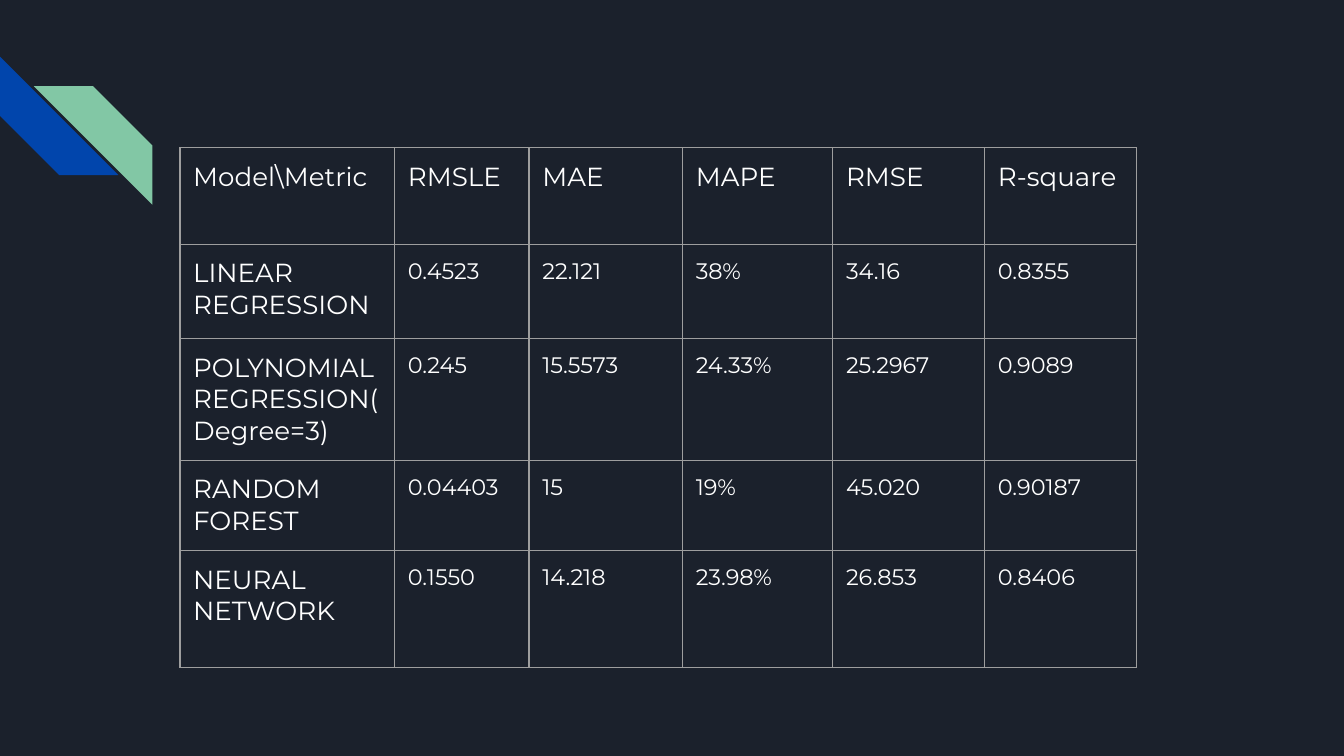
from lxml.etree import SubElement
from pptx import Presentation
from pptx.dml.color import RGBColor
from pptx.enum.shapes import MSO_SHAPE
from pptx.oxml.ns import qn
from pptx.util import Cm, Pt

NAVY = RGBColor(0x1B, 0x21, 0x2C)
BLUE = RGBColor(0x01, 0x45, 0xAC)
GREEN = RGBColor(0x82, 0xC7, 0xA5)
GREY = RGBColor(0x9E, 0x9E, 0x9E)
WHITE = RGBColor(0xFF, 0xFF, 0xFF)

FONT = "Montserrat"
INSET = Cm(0.25)
STRIPE_SIZE = Cm(2.24)

COLUMN_WIDTHS = [4.06, 2.54, 2.9, 2.84, 2.87, 2.87]
ROW_HEIGHTS = [1.83, 1.78, 1.68, 1.68, 2.21]
RESULTS = [
    ["Model\\Metric", "RMSLE", "MAE", "MAPE", "RMSE", "R-square"],
    ["LINEAR REGRESSION", "0.4523", "22.121", "38%", "34.16", "0.8355"],
    ["POLYNOMIAL REGRESSION(Degree=3)", "0.245", "15.5573", "24.33%", "25.2967", "0.9089"],
    ["RANDOM FOREST", "0.04403", "15", "19%", "45.020", "0.90187"],
    ["NEURAL NETWORK", "0.1550", "14.218", "23.98%", "26.853", "0.8406"],
]


def add_stripe(slide, left, top, color, rotation=0, mirrored=False):
    stripe = slide.shapes.add_shape(
        MSO_SHAPE.DIAGONAL_STRIPE, left, top, STRIPE_SIZE, STRIPE_SIZE)
    stripe.adjustments[0] = 0.5
    stripe.rotation = rotation
    stripe.shadow.inherit = False
    stripe.fill.solid()
    stripe.fill.fore_color.rgb = color
    stripe.line.fill.background()
    if mirrored:
        stripe._element.spPr.find(qn("a:xfrm")).set("flipH", "1")


def add_borders(cell):
    properties = cell._tc.get_or_add_tcPr()
    for side in ("a:lnL", "a:lnR", "a:lnT", "a:lnB"):
        border = SubElement(properties, qn(side), w=str(Pt(0.75)))
        fill = SubElement(border, qn("a:solidFill"))
        SubElement(fill, qn("a:srgbClr"), val=str(GREY))


def fill_cell(cell, text, size):
    cell.margin_left = cell.margin_right = INSET
    cell.margin_top = cell.margin_bottom = INSET
    add_borders(cell)
    cell.fill.background()
    run = cell.text_frame.paragraphs[0].add_run()
    run.text = text
    run.font.name = FONT
    run.font.size = size
    run.font.color.rgb = WHITE


def add_results_table(slide, left, top):
    table = slide.shapes.add_table(
        len(ROW_HEIGHTS), len(COLUMN_WIDTHS), left, top,
        Cm(sum(COLUMN_WIDTHS)), Cm(sum(ROW_HEIGHTS))).table
    table.first_row = table.horz_banding = False
    for column, width in zip(table.columns, COLUMN_WIDTHS):
        column.width = Cm(width)
    for row, height in zip(table.rows, ROW_HEIGHTS):
        row.height = Cm(height)
    for r, values in enumerate(RESULTS):
        for c, value in enumerate(values):
            # Metric and model names are larger than the scores
            size = Pt(14) if r == 0 or c == 0 else Pt(12)
            fill_cell(table.cell(r, c), value, size)


def main():
    presentation = Presentation()
    presentation.slide_width = Cm(25.4)
    presentation.slide_height = Cm(14.29)
    slide = presentation.slides.add_slide(presentation.slide_layouts[6])
    slide.background.fill.solid()
    slide.background.fill.fore_color.rgb = NAVY

    # Corner decoration
    add_stripe(slide, Cm(0), Cm(1.07), BLUE, rotation=270)
    add_stripe(slide, Cm(0.64), Cm(1.63), GREEN, mirrored=True)

    # Model comparison
    add_results_table(slide, Cm(3.4), Cm(2.79))

    presentation.save("out.pptx")


if __name__ == "__main__":
    main()
